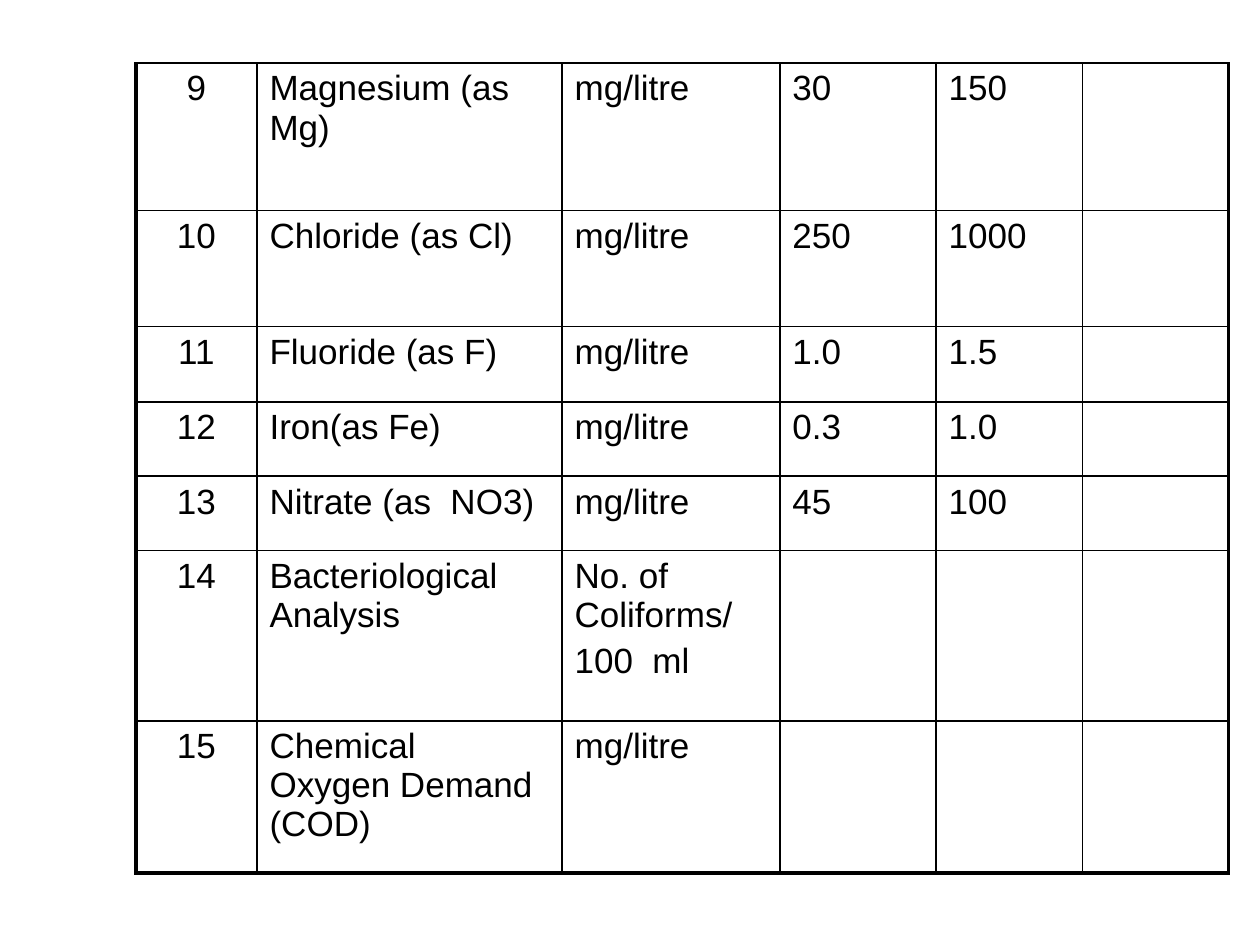
"""Build a slide with a table of water quality limits."""
from lxml.etree import SubElement
from pptx import Presentation
from pptx.dml.color import RGBColor
from pptx.enum.text import PP_ALIGN as Align
from pptx.oxml.ns import qn
from pptx.util import Cm, Pt

INK = "000000"
THIN, THICK = Pt(1), Pt(2.25)
COL_WIDTHS = [2.44, 6.15, 4.39, 3.15, 2.95, 2.95]
ROW_HEIGHTS = [2.97, 2.34, 1.52, 1.5, 1.5, 3.43, 3.07]
ROWS = [
    ["9", "Magnesium (as Mg)", "mg/litre", "30", "150", ""],
    ["10", "Chloride (as Cl)", "mg/litre", "250", "1000", ""],
    ["11", "Fluoride (as F)", "mg/litre", "1.0", "1.5", ""],
    ["12", "Iron(as Fe)", "mg/litre", "0.3", "1.0", ""],
    ["13", "Nitrate (as  NO3)", "mg/litre", "45", "100", ""],
    ["14", "Bacteriological Analysis", "No. of Coliforms/\n100  ml", "", "", ""],
    ["15", "Chemical  Oxygen Demand (COD)", "mg/litre", "", "", ""],
]


def color(hex_code):
    """Return the colour for a hex string."""
    return RGBColor.from_string(hex_code)


def set_borders(cell, widths):
    """Draw solid cell borders, given a width for each of L, R, T and B."""
    tc_pr = cell._tc.get_or_add_tcPr()
    for side, width in widths.items():
        ln = SubElement(tc_pr, qn(f"a:ln{side}"), w=str(width))
        fill = SubElement(ln, qn("a:solidFill"))
        SubElement(fill, qn("a:srgbClr"), val=INK)


def set_text(cell, text, align):
    """Write the text of a cell, one paragraph a line."""
    tf = cell.text_frame
    tf.text = text
    for i, p in enumerate(tf.paragraphs):
        p.alignment = align
        p.space_before = Pt(4 if i else 0)
        p.font.name = "Arial"
        p.font.size = Pt(20)
        p.font.color.rgb = color(INK)


def add_limits_table(slide):
    """Add the table with its heavier left, right and bottom edges."""
    n_rows, n_cols = len(ROWS), len(COL_WIDTHS)
    table = slide.shapes.add_table(
        n_rows, n_cols, Cm(2.74), Cm(1.27),
        Cm(sum(COL_WIDTHS)), Cm(sum(ROW_HEIGHTS))).table
    table.first_row = table.horz_banding = False
    for col, width in zip(table.columns, COL_WIDTHS):
        col.width = Cm(width)
    for r, (row, height) in enumerate(zip(table.rows, ROW_HEIGHTS)):
        row.height = Cm(height)
        for c, cell in enumerate(row.cells):
            set_borders(cell, {
                "L": THICK if c == 0 else THIN,
                "R": THICK if c == n_cols - 1 else THIN,
                "T": THIN,
                "B": THICK if r == n_rows - 1 else THIN,
            })
            cell.fill.background()
            set_text(cell, ROWS[r][c], Align.LEFT if c else Align.CENTER)


def main():
    """Build and save the slide."""
    prs = Presentation()
    prs.slide_width, prs.slide_height = Cm(25.4), Cm(19.05)
    add_limits_table(prs.slides.add_slide(prs.slide_layouts[6]))
    prs.save("out.pptx")


if __name__ == "__main__":
    main()
